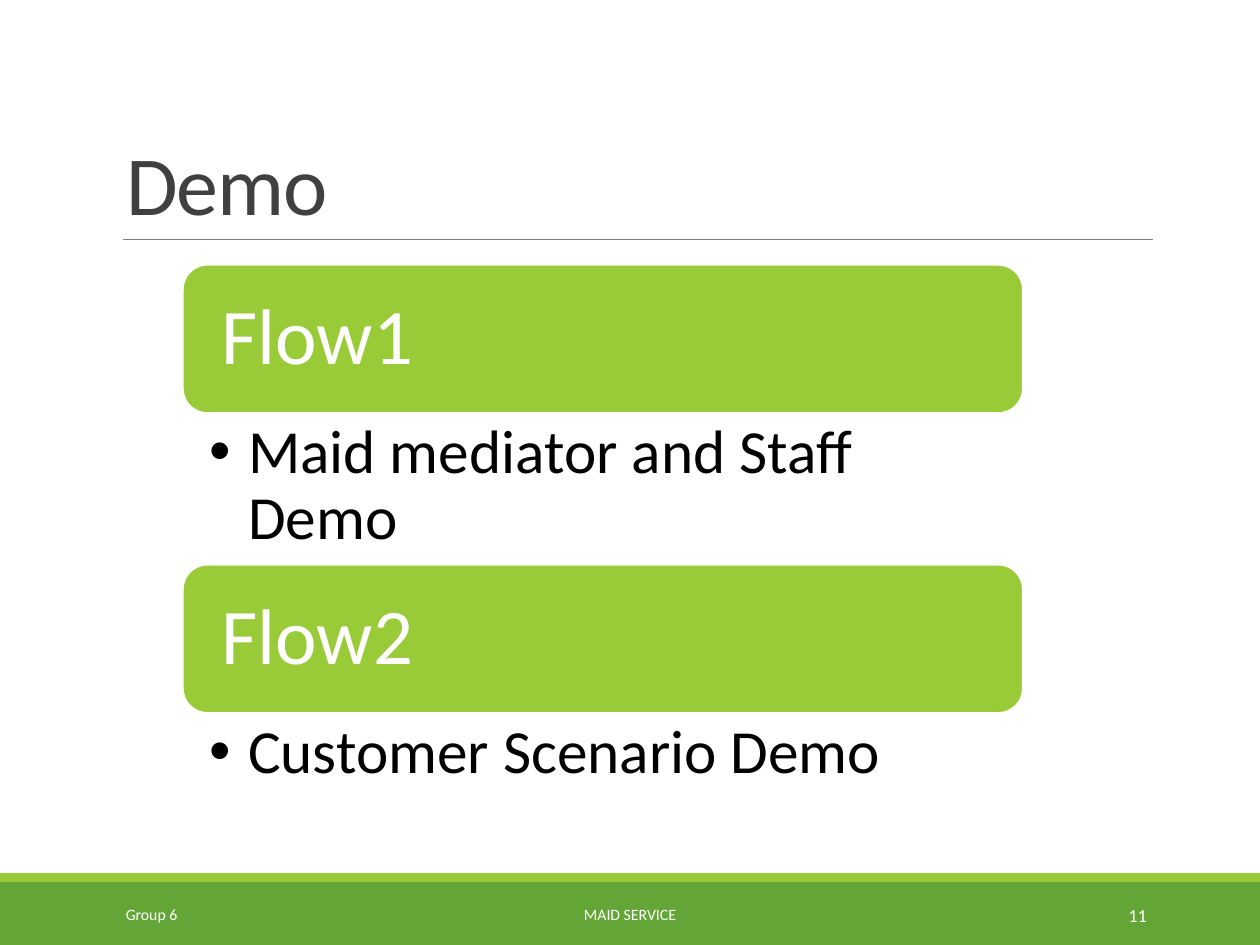
from pptx import Presentation
from pptx import util as u
from pptx.dml.color import RGBColor
from pptx.enum import shapes, text
from pptx.oxml import parse_xml
from pptx.oxml.ns import nsdecls

HUES = {"band": "63A537", "lime": "99CB38", "rule": "808080",
        "title": "404040", "white": "FFFFFF", "black": "000000"}
FLOWS = [("Flow1", "Maid mediator and Staff Demo", 1.2),
         ("Flow2", "Customer Scenario Demo", 0.81)]
ALIGN = text.PP_ALIGN
ANCHOR = text.MSO_ANCHOR


def hue(name):
    """Return the named colour."""
    return RGBColor.from_string(HUES[name])


def put(item, values):
    """Set each value of a dict as an attribute of the item."""
    for key, value in values.items():
        setattr(item, key, value)


def place(shape, box):
    """Move a shape to a box of left, top, width and height in inches."""
    put(shape, dict(zip(("left", "top", "width", "height"), map(u.Inches, box))))


def write(shape, words, size, color, anchor, pads=(0.1, 0.05, 0.1, 0.05),
          align=ALIGN.LEFT, lines=1.0):
    """Write one formatted paragraph into a shape and return it."""
    frame = shape.text_frame
    names = ("margin_left", "margin_top", "margin_right", "margin_bottom")
    put(frame, {"word_wrap": True, "auto_size": text.MSO_AUTO_SIZE.NONE,
                "vertical_anchor": anchor, **dict(zip(names, map(u.Inches, pads)))})
    para = frame.paragraphs[0]
    put(para, {"alignment": align, "line_spacing": lines, "space_before": u.Pt(0)})
    run = para.add_run()
    run.text = words
    put(run.font, {"name": "Calibri", "size": u.Pt(size)})
    run.font.color.rgb = hue(color)
    return para


def block(slide, kind, box, fill):
    """Add a plain filled shape without a line."""
    shape = slide.shapes.add_shape(kind, *map(u.Inches, box))
    shape.shadow.inherit = False
    shape.fill.solid()
    shape.fill.fore_color.rgb = hue(fill)
    shape.line.fill.background()
    return shape


def head(slide, box):
    """Fill the title and draw the rule below it."""
    left, top, width, height = box
    place(slide.shapes.title, box)
    para = write(slide.shapes.title, "Demo", 48, "title", ANCHOR.BOTTOM, lines=0.85)
    para.runs[0].font._element.set("spc", "-50")
    base = u.Inches(top + height)
    rule = slide.shapes.add_connector(
        shapes.MSO_CONNECTOR.STRAIGHT, u.Inches(left + 0.08), base,
        u.Inches(left + width), base)
    rule.line.color.rgb = hue("rule")
    rule.line.width = u.Pt(0.5)
    rule._element.spPr.append(parse_xml(f"<a:effectLst {nsdecls('a')}/>"))


def flow(slide, body, label, point, box, bar):
    """Place a flow's bar at the top of its box and its list below."""
    left, top, width, height = box
    shape = block(slide, shapes.MSO_SHAPE.ROUNDED_RECTANGLE,
                  (left, top, width, bar), "lime")
    shape.line.color.rgb = hue("white")
    shape.line.width = u.Pt(1.25)
    write(shape, label, 45, "white", ANCHOR.MIDDLE, (0.25, 0.2, 0.25, 0.2), lines=0.9)
    place(body, (left, top + bar, width, height - bar))
    para = write(body, point, 35, "black", ANCHOR.TOP,
                 (0.21, 0.06, 0.35, 0.06), lines=0.9)
    props = para._p.get_or_add_pPr()
    dent = u.Inches(0.31)
    props.set("marL", str(dent))
    props.set("indent", str(-dent))


def foot(slide, box):
    """Draw the footer band with its three texts."""
    left, top, width, height = box
    rect = shapes.MSO_SHAPE.RECTANGLE
    block(slide, rect, box, "band")
    block(slide, rect, (left, top - 0.07, width, 0.07), "lime")
    for words, start, wide, size, align in (
            ("Group 6", 0.9, 2.03, 9, ALIGN.LEFT),
            ("MAID SERVICE", 3.02, 3.96, 9, ALIGN.CENTER),
            ("11", 8.12, 1.08, 10.5, ALIGN.RIGHT)):
        spot = (left + start, top + 0.06, wide, 0.4)
        label = slide.shapes.add_textbox(*map(u.Inches, spot))
        write(label, words, size, "white", ANCHOR.MIDDLE, align=align)


def main():
    """Build the slide and save it."""
    deck = Presentation()
    put(deck, {"slide_width": u.Inches(10), "slide_height": u.Inches(7.5)})
    slide = deck.slides.add_slide(deck.slide_layouts[3])
    foot(slide, (0, 7, 10, 0.5))
    head(slide, (0.9, 0.31, 8.25, 1.59))
    top, bar = 2.1, 1.18
    for spot, (label, point, deep) in enumerate(FLOWS, 1):
        box = (1.45, top, 6.67, bar + deep)
        flow(slide, slide.placeholders[spot], label, point, box, bar)
        top += bar + deep
    deck.save("out.pptx")


if __name__ == "__main__":
    main()
